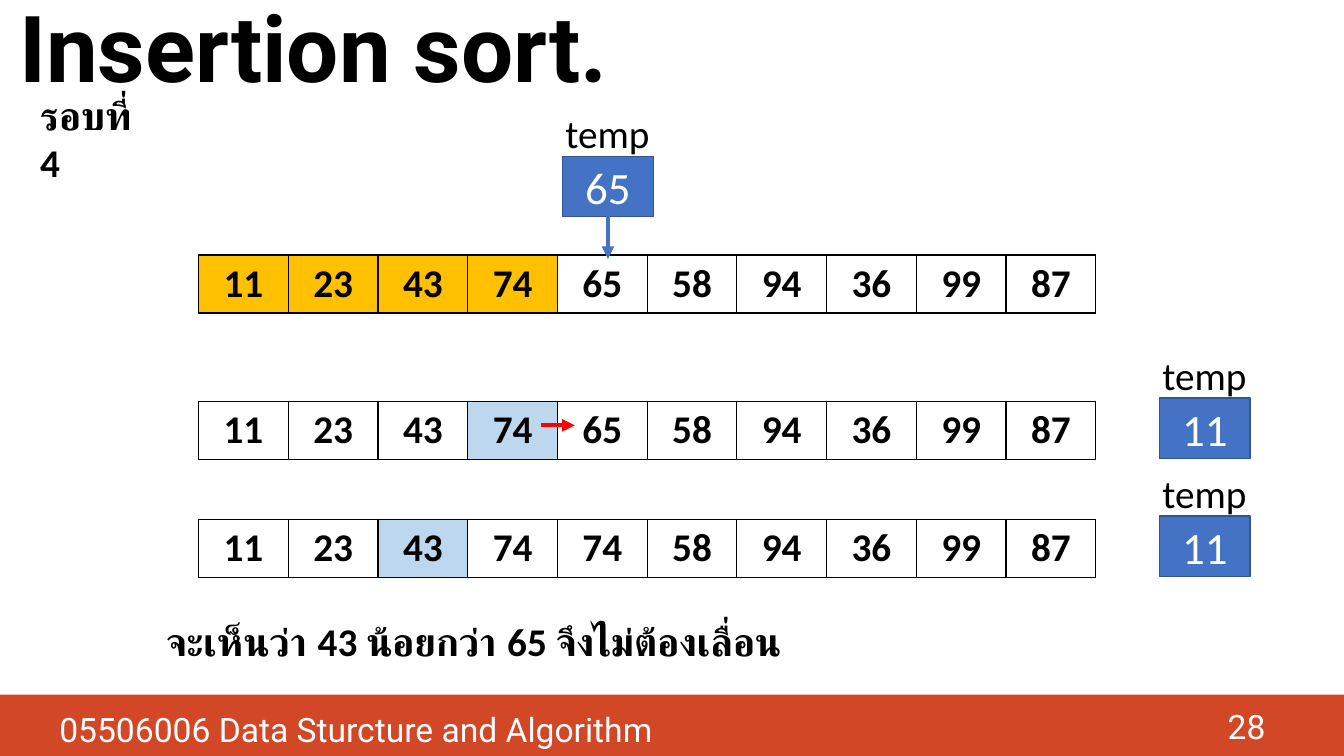
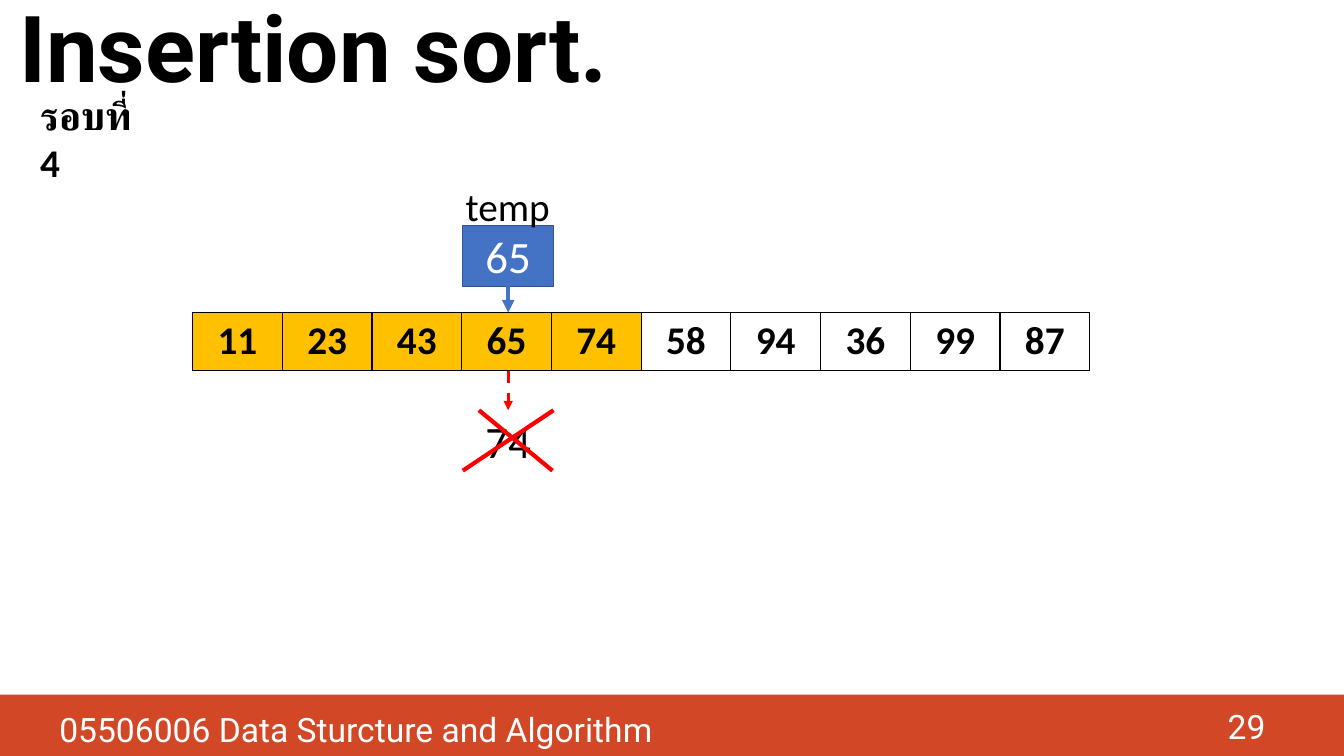
import pptx
import pptx.dml.color
import pptx.enum.dml
import pptx.enum.shapes
import pptx.enum.text
import pptx.oxml
import pptx.oxml.ns
import pptx.util

Inches = pptx.util.Inches
Pt = pptx.util.Pt
RGBColor = pptx.dml.color.RGBColor
Align = pptx.enum.text.PP_ALIGN
Anchor = pptx.enum.text.MSO_ANCHOR
Dash = pptx.enum.dml.MSO_LINE
qn = pptx.oxml.ns.qn

BLACK = RGBColor(0x00, 0x00, 0x00)
WHITE = RGBColor(0xFF, 0xFF, 0xFF)
BAND = RGBColor(0xD2, 0x47, 0x26)
BLUE = RGBColor(0x44, 0x72, 0xC4)
DARK_BLUE = RGBColor(0x32, 0x54, 0x91)
SORTED = RGBColor(0xFF, 0xC0, 0x00)
COMPARED = RGBColor(0xBD, 0xD7, 0xEE)
RED = RGBColor(0xFF, 0x00, 0x00)

TITLE = {"name": "Roboto", "size": Pt(66), "bold": True}
FOOTER = {"name": "Roboto", "size": Pt(24)}
STRONG = {"name": "Calibri", "size": Pt(28), "bold": True}
LABEL = {"name": "Calibri", "size": Pt(28)}
VALUE = {"name": "Calibri", "size": Pt(32)}

SLIDE_WIDTH = 13.33
CELL_WIDTH = 0.89
ROW_HEIGHT = 0.57
BOX_SIZE = (0.9, 0.6)


def set_all(target, values):
    """Set every attribute named in a dict of format values."""
    for name, value in values.items():
        setattr(target, name, value)


def add_span(para, text, font, color, align):
    """Add one formatted run to an aligned paragraph."""
    para.alignment = align
    span = para.add_run()
    span.text = text
    set_all(span.font, font)
    span.font.color.rgb = color


class SortDeck:
    """Holds the deck style and the slide being drawn."""

    def __init__(self):
        """Start an empty widescreen deck."""
        self.deck = pptx.Presentation()
        set_all(self.deck, {"slide_width": Inches(SLIDE_WIDTH),
                            "slide_height": Inches(7.5)})
        self.page = None

    def fill_frame(self, frame, text, font, color, align=Align.LEFT, anchor=Anchor.TOP):
        """Put one formatted paragraph in a text frame."""
        set_all(frame, {"word_wrap": True, "vertical_anchor": anchor,
                        "auto_size": pptx.enum.text.MSO_AUTO_SIZE.NONE})
        add_span(frame.paragraphs[0], text, font, color, align)

    def start_page(self, number):
        """Add a slide with the title, band, footer and round label."""
        self.page = self.deck.slides.add_slide(self.deck.slide_layouts[5])
        title = self.page.shapes.title
        set_all(title, {"left": Inches(0.09), "top": Inches(-0.11),
                        "width": Inches(12.28), "height": Inches(1.27)})
        self.fill_frame(title.text_frame, "Insertion sort.", TITLE, BLACK,
                        anchor=Anchor.MIDDLE)
        title.text_frame.paragraphs[0].line_spacing = 0.9
        self.block(0, 6.89, SLIDE_WIDTH, 0.61, BAND)
        self.text(0.49, 6.98, 11.48, 0.66, "05506006 Data Sturcture and Algorithm",
                  FOOTER, WHITE)
        self.text(9.65, 7, 3, 0.4, str(number), FOOTER, WHITE,
                  Align.RIGHT, Anchor.MIDDLE)
        self.text(0.3, 0.86, 1.23, 0.57, "รอบที่ 4", STRONG)

    def text(self, left, top, width, height, text, font, color=BLACK,
             align=Align.LEFT, anchor=Anchor.TOP):
        """Add a wrapping text box."""
        box = self.page.shapes.add_textbox(
            Inches(left), Inches(top), Inches(width), Inches(height))
        self.fill_frame(box.text_frame, text, font, color, align, anchor)

    def block(self, left, top, width, height, fill, outline=None):
        """Add a flat rectangle."""
        box = self.page.shapes.add_shape(
            pptx.enum.shapes.MSO_SHAPE.RECTANGLE,
            Inches(left), Inches(top), Inches(width), Inches(height))
        box.shadow.inherit = False
        box.fill.solid()
        box.fill.fore_color.rgb = fill
        if outline is None:
            box.line.fill.background()
        else:
            box.line.color.rgb = outline
            box.line.width = Pt(1)
        return box

    def value_box(self, left, top, value, fill=BLUE, outline=DARK_BLUE, color=WHITE):
        """Add a box holding a single value."""
        box = self.block(left, top, *BOX_SIZE, fill, outline)
        self.fill_frame(box.text_frame, value, VALUE, color, Align.CENTER, Anchor.MIDDLE)

    def temp(self, left, top, value, rise=0.49):
        """Add the temp variable: a value box with its name above."""
        self.value_box(left, top, value)
        self.text(left - 0.25, top - rise, 1.39, 0.51, "temp", LABEL,
                  align=Align.CENTER, anchor=Anchor.MIDDLE)

    def array(self, left, top, values, marked, color):
        """Add a one-row table, filling the marked positions."""
        numbers = values.split()
        table = self.page.shapes.add_table(
            1, len(numbers), Inches(left), Inches(top),
            Inches(CELL_WIDTH * len(numbers)), Inches(ROW_HEIGHT)).table
        set_all(table, {"first_row": False, "horz_banding": False})
        for index, number in enumerate(numbers):
            self.array_cell(table.cell(0, index), number,
                            color if index in marked else WHITE)

    def array_cell(self, cell, number, fill):
        """Format one table cell with borders, fill and a centred number."""
        properties = cell._tc.get_or_add_tcPr()
        for side in ("lnL", "lnR", "lnT", "lnB"):
            properties.append(pptx.oxml.parse_xml(
                f'<a:{side} {pptx.oxml.ns.nsdecls("a")} w="12700"><a:solidFill>'
                f'<a:srgbClr val="{BLACK}"/></a:solidFill></a:{side}>'))
        cell.fill.solid()
        cell.fill.fore_color.rgb = fill
        cell.vertical_anchor = Anchor.MIDDLE
        add_span(cell.text_frame.paragraphs[0], number, STRONG, BLACK, Align.CENTER)

    def line(self, start, end, color, width=3, arrow=True, dash=None):
        """Add a straight line, with an arrowhead at its end if wanted."""
        line = self.page.shapes.add_connector(
            pptx.enum.shapes.MSO_CONNECTOR.STRAIGHT,
            *(Inches(length) for length in (*start, *end)))
        line.line.color.rgb = color
        set_all(line.line, {"width": Pt(width), "dash_style": dash})
        properties = line._element.spPr
        if arrow:
            stroke = properties.find(qn("a:ln"))
            stroke.append(stroke.makeelement(qn("a:tailEnd"), {"type": "triangle"}))
        properties.append(properties.makeelement(qn("a:effectLst"), {}))


def draw_shifting(sort):
    """Draw the comparisons made while shifting larger values."""
    sort.start_page(28)
    sort.array(1.97, 2.53, "11 23 43 74 65 58 94 36 99 87", range(4), SORTED)
    sort.temp(5.58, 1.55, "65")
    sort.line((6.03, 2.14), (6.03, 2.57), BLUE)
    sort.array(1.97, 3.98, "11 23 43 74 65 58 94 36 99 87", [3], COMPARED)
    sort.line((5.37, 4.22), (5.7, 4.22), RED)
    sort.array(1.97, 5.15, "11 23 43 74 74 58 94 36 99 87", [2], COMPARED)
    sort.text(1.55, 6.08, 11.2, 0.57, "จะเห็นว่า 43 น้อยกว่า 65 จึงไม่ต้องเลื่อน", STRONG)
    for top in (3.95, 5.12):
        sort.temp(11.5, top, "11")


def draw_insertion(sort):
    """Draw temp replacing the old value in the array."""
    sort.start_page(29)
    sort.array(1.91, 3.1, "11 23 43 65 74 58 94 36 99 87", range(5), SORTED)
    sort.temp(4.59, 2.24, "65", rise=0.45)
    sort.line((5.04, 2.68), (5.04, 3.1), BLUE)
    sort.value_box(4.59, 4.07, "74", WHITE, None, BLACK)
    sort.line((5.04, 3.68), (5.04, 4.07), RED, 2.25, dash=Dash.DASH)
    sort.line((4.75, 4.07), (5.48, 4.67), RED, arrow=False)
    sort.line((4.59, 4.67), (5.49, 4.07), RED, arrow=False)


sort = SortDeck()
draw_shifting(sort)
draw_insertion(sort)
sort.deck.save("out.pptx")
